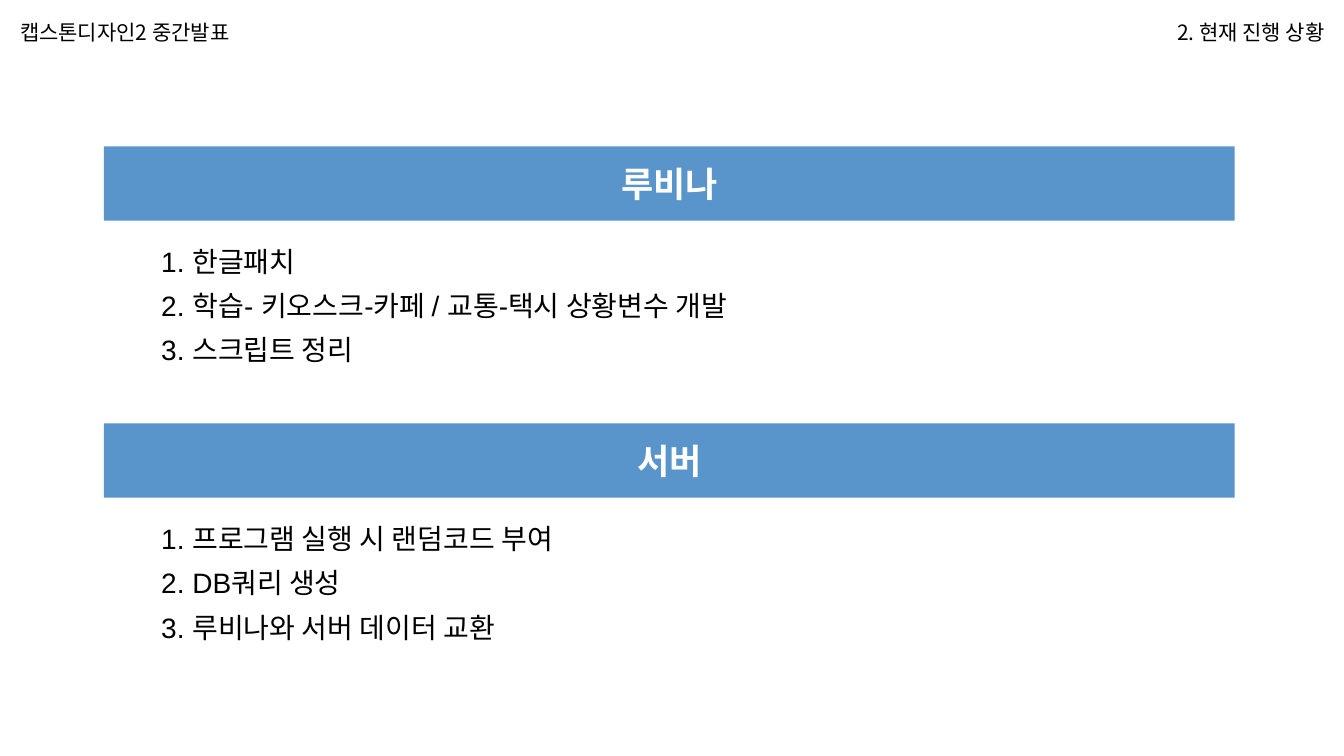
from dataclasses import dataclass

from lxml.etree import SubElement
from pptx import Presentation
from pptx.dml.color import RGBColor
from pptx.enum.shapes import MSO_SHAPE
from pptx.enum.text import MSO_ANCHOR, PP_ALIGN
from pptx.oxml.ns import qn
from pptx.util import Pt

HEADERS = [
    # text, left, width, alignment
    ("캡스톤디자인2 중간발표", 7.2, 274.3, PP_ALIGN.LEFT),
    ("2. 현재 진행 상황", 654.5, 298.8, PP_ALIGN.RIGHT),
]
SECTIONS = [
    ("루비나", [
        "1. 한글패치",
        "2. 학습- 키오스크-카페 / 교통-택시 상황변수 개발",
        "3. 스크립트 정리",
    ]),
    ("서버", [
        "1. 프로그램 실행 시 랜덤코드 부여",
        "2. DB쿼리 생성",
        "3. 루비나와 서버 데이터 교환",
    ]),
]


@dataclass(frozen=True)
class Theme:
    banner: RGBColor = RGBColor(0x59, 0x94, 0xCA)
    ink: RGBColor = RGBColor(0, 0, 0)
    white: RGBColor = RGBColor(255, 255, 255)
    korean_font: str = "Noto Sans CJK KR"
    body_font: str = "Arial"
    header_size: int = 15
    banner_size: int = 25
    body_size: int = 20


THEME = Theme()
HEADER_TOP, HEADER_HEIGHT = 10.1, 25.2
BANNER_LEFT, BANNER_TOP, BANNER_WIDTH, BANNER_HEIGHT = 74.2, 104.6, 807.8, 53
SECTION_STEP = 197.9
LIST_LEFT, LIST_OFFSET, LIST_WIDTH, LIST_HEIGHT = 99.4, 69.2, 760, 112
LIST_INDENT = 8.64


def style(paragraph, size, color, latin, alignment=PP_ALIGN.LEFT, bold=False):
    paragraph.alignment = alignment
    font = paragraph.font
    font.size, font.bold, font.name = Pt(size), bold, latin
    font.color.rgb = color
    properties = paragraph._p.get_or_add_pPr().find(qn("a:defRPr"))
    SubElement(properties, qn("a:ea")).set("typeface", THEME.korean_font)


def add_text_frame(slide, left, top, width, height):
    box = slide.shapes.add_textbox(Pt(left), Pt(top), Pt(width), Pt(height))
    box.text_frame.word_wrap = True
    return box.text_frame


def add_header(slide, text, left, width, alignment):
    frame = add_text_frame(slide, left, HEADER_TOP, width, HEADER_HEIGHT)
    frame.text = text
    style(frame.paragraphs[0], THEME.header_size, THEME.ink,
          THEME.korean_font, alignment)


def add_banner(slide, title, top):
    banner = slide.shapes.add_shape(
        MSO_SHAPE.RECTANGLE, Pt(BANNER_LEFT), Pt(top),
        Pt(BANNER_WIDTH), Pt(BANNER_HEIGHT))
    banner.shadow.inherit = False
    banner.fill.solid()
    banner.fill.fore_color.rgb = THEME.banner
    banner.line.fill.background()
    frame = banner.text_frame
    frame.vertical_anchor = MSO_ANCHOR.MIDDLE
    frame.text = title
    style(frame.paragraphs[0], THEME.banner_size, THEME.white,
          THEME.korean_font, PP_ALIGN.CENTER, bold=True)


def add_list(slide, items, top):
    frame = add_text_frame(slide, LIST_LEFT, top, LIST_WIDTH, LIST_HEIGHT)
    frame.text = "\n".join(items)
    for paragraph in frame.paragraphs:
        paragraph.line_spacing = 0.9
        paragraph.space_before = Pt(10)
        style(paragraph, THEME.body_size, THEME.ink, THEME.body_font)
        paragraph._p.get_or_add_pPr().set("marL", str(Pt(LIST_INDENT)))


def main():
    presentation = Presentation()
    presentation.slide_width, presentation.slide_height = Pt(960), Pt(540)
    slide = presentation.slides.add_slide(presentation.slide_layouts[6])
    for header in HEADERS:
        add_header(slide, *header)
    for index, (title, items) in enumerate(SECTIONS):
        top = BANNER_TOP + index * SECTION_STEP
        add_banner(slide, title, top)
        add_list(slide, items, top + LIST_OFFSET)
    presentation.save("out.pptx")


if __name__ == "__main__":
    main()
